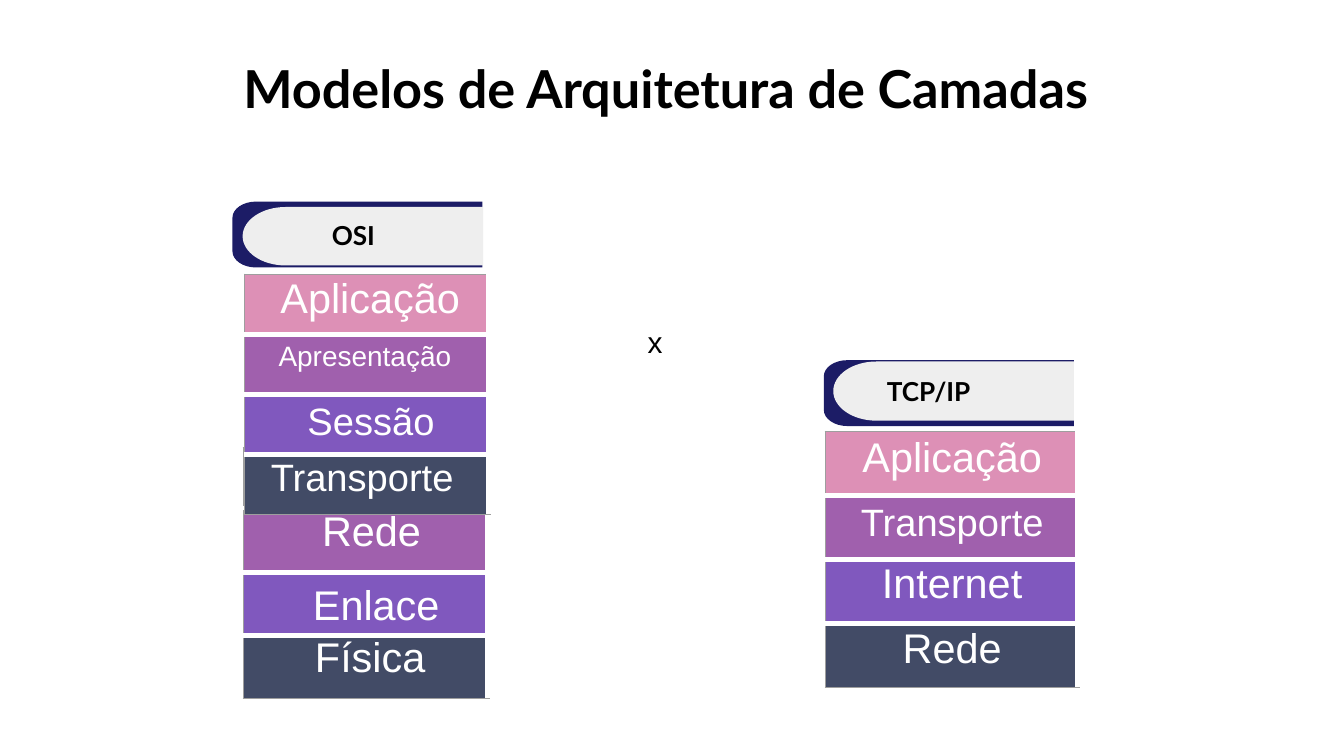
from typing import NamedTuple

from lxml.etree import SubElement
from pptx import Presentation
from pptx.dml.color import RGBColor
from pptx.enum.text import MSO_ANCHOR, MSO_AUTO_SIZE, PP_ALIGN
from pptx.oxml.ns import qn
from pptx.util import Inches, Pt

# The slide is a grid of 100 columns by 56.25 rows of equal square cells.
UNIT = Inches(10) / 100
LAYER_COLORS = ("DD90B6", "A060AD", "8058BE", "424B66")
GRAY, WHITE, NAVY, SILVER, BLACK = "9E9E9E", "FFFFFF", "1C1C66", "EEEEEE", "000000"


class Box(NamedTuple):
    column: float
    row: float
    columns: float
    rows: float


class Stack(NamedTuple):
    column: float
    row: float
    columns: float
    row_heights: tuple[float, ...]


class Label(NamedTuple):
    text: str
    box: Box
    size: float = 22.2
    spacing: float = 0.8


class Header(NamedTuple):
    text: str
    tab: Box
    pill: Box
    caption: Box


STACKS = (
    Stack(18.1, 33.3, 18.2, (4.5, 4.8, 4.7, 4.7)),
    Stack(61.4, 32.1, 18.8, (4.77,) * 4),
    Stack(18.2, 20.4, 18.15, (4.47,) * 4),
)

LABELS = (
    Label("Física", Box(18.1, 47.2, 18.9, 3.9)),
    Label("Enlace", Box(20.5, 43.3, 15, 3.9)),
    Label("Rede", Box(19, 37.8, 17.3, 3.9)),
    Label("Transporte", Box(19.1, 33.6, 15.7, 3.9), 20.4, 0.9),
    Label("Sessão", Box(20.5, 29.7, 14.2, 3.5), 20.4),
    Label("Apresentação", Box(18.9, 25.2, 16.5, 4.5), 15),
    Label("Aplicação", Box(18.1, 20.5, 18.9, 3.9)),
    Label("Rede", Box(62.2, 46.5, 17.3, 3.9)),
    Label("Internet", Box(62.2, 41.7, 17.3, 3.9)),
    Label("Transporte", Box(63, 37, 15.7, 3.9), 20.4, 0.9),
    Label("Aplicação", Box(61.4, 32.3, 18.9, 3.9)),
)

HEADERS = (
    Header("TCP/IP", Box(61.3, 26.8, 18.6, 4.9), Box(62, 26.9, 17.9, 4.4),
           Box(65, 27.4, 11.5, 3.4)),
    Header("OSI", Box(17.3, 15, 18.6, 4.9), Box(18.05, 15.4, 17.9, 4.35),
           Box(23.7, 15.8, 11.5, 3.4)),
)


def color(value: str) -> RGBColor:
    return RGBColor.from_string(value)


def lengths(box: Box) -> list[int]:
    return [round(value * UNIT) for value in box]


def format_text(text_frame, size: float, font_name: str, font_color: str,
                bold: bool = False) -> None:
    font = text_frame.paragraphs[0].runs[0].font
    font.size, font.name, font.bold = Pt(size), font_name, bold
    font.color.rgb = color(font_color)


def set_borders(cell, top: str, bottom: str) -> None:
    """Gray edges are hairlines and white edges are wide gaps."""
    properties = cell._tc.get_or_add_tcPr()
    edges = {"a:lnL": GRAY, "a:lnR": WHITE, "a:lnT": top, "a:lnB": bottom}
    for position, (tag, value) in enumerate(edges.items()):
        line = properties.makeelement(qn(tag), {"w": str(Pt(0.75 if value == GRAY else 3))})
        fill = SubElement(line, qn("a:solidFill"))
        SubElement(fill, qn("a:srgbClr"), val=value)
        properties.insert(position, line)


def add_stack(slide, stack: Stack) -> None:
    count = len(stack.row_heights)
    box = Box(stack.column, stack.row, stack.columns, sum(stack.row_heights))
    table = slide.shapes.add_table(count, 1, *lengths(box)).table
    table.first_row = table.horz_banding = False
    for index, height in enumerate(stack.row_heights):
        table.rows[index].height = round(height * UNIT)
        cell = table.cell(index, 0)
        cell.fill.solid()
        cell.fill.fore_color.rgb = color(LAYER_COLORS[index])
        set_borders(cell, GRAY if index == 0 else WHITE,
                    GRAY if index == count - 1 else WHITE)


def add_label(slide, label: Label) -> None:
    text_frame = slide.shapes.add_textbox(*lengths(label.box)).text_frame
    text_frame.word_wrap = True
    text_frame.text = label.text
    paragraph = text_frame.paragraphs[0]
    paragraph.alignment = PP_ALIGN.CENTER
    paragraph.line_spacing = label.spacing
    format_text(text_frame, label.size, "Arial", WHITE)


def merge_into_curve(segments: list) -> None:
    """Turn three line segments into one Bézier curve through their points."""
    first = segments[0]
    curve = first.makeelement(qn("a:cubicBezTo"))
    first.addprevious(curve)
    for segment in segments:
        curve.append(segment[0])
        segment.getparent().remove(segment)


def add_left_rounded(slide, box: Box, radius_x: float, radius_y: float, fill: str) -> None:
    left, top, width, height = lengths(box)
    right, bottom = left + width, top + height
    radius_x, radius_y = radius_x * UNIT, radius_y * UNIT
    control_x, control_y = 0.45 * radius_x, 0.45 * radius_y
    builder = slide.shapes.build_freeform(right, bottom)
    builder.add_line_segments([
        (right, top), (left + radius_x, top),
        (left + control_x, top), (left, top + control_y), (left, top + radius_y),
        (left, bottom - radius_y),
        (left, bottom - control_y), (left + control_x, bottom), (left + radius_x, bottom),
    ], close=True)
    shape = builder.convert_to_shape()
    segments = list(shape._element.iter(qn("a:lnTo")))
    merge_into_curve(segments[2:5])
    merge_into_curve(segments[6:9])
    shape.shadow.inherit = False
    shape.fill.solid()
    shape.fill.fore_color.rgb = color(fill)
    shape.line.fill.background()


def add_header(slide, header: Header) -> None:
    add_left_rounded(slide, header.tab, 1.75, 1.2, NAVY)
    add_left_rounded(slide, header.pill, 3.2, header.pill.rows / 2, SILVER)
    text_frame = slide.shapes.add_textbox(*lengths(header.caption)).text_frame
    text_frame.word_wrap = True
    text_frame.vertical_anchor = MSO_ANCHOR.MIDDLE
    text_frame.margin_top = text_frame.margin_bottom = Inches(0.1)
    text_frame.text = header.text
    format_text(text_frame, 14, "Lato", BLACK, bold=True)


def add_title(slide, text: str, box: Box) -> None:
    title = slide.shapes.title
    title.left, title.top, title.width, title.height = lengths(box)
    text_frame = title.text_frame
    text_frame.auto_size = MSO_AUTO_SIZE.NONE
    text_frame.vertical_anchor = MSO_ANCHOR.TOP
    text_frame.margin_top = text_frame.margin_bottom = Inches(0.1)
    text_frame.text = text
    text_frame.paragraphs[0].alignment = PP_ALIGN.CENTER
    format_text(text_frame, 28, "Lato", BLACK, bold=True)


def add_versus(slide, box: Box) -> None:
    text_frame = slide.shapes.add_textbox(*lengths(box)).text_frame
    text_frame.word_wrap = True
    text_frame.text = "x"
    format_text(text_frame, 16, "Arial", BLACK)


def main() -> None:
    presentation = Presentation()
    presentation.slide_width = round(100 * UNIT)
    presentation.slide_height = round(56.25 * UNIT)
    slide = presentation.slides.add_slide(presentation.slide_layouts[5])
    add_title(slide, "Modelos de Arquitetura de Camadas ", Box(5, 3.2, 90, 6.3))
    for stack in STACKS:
        add_stack(slide, stack)
    for label in LABELS:
        add_label(slide, label)
    for header in HEADERS:
        add_header(slide, header)
    add_versus(slide, Box(47.2, 23.6, 3.9, 5.3))
    presentation.save("out.pptx")


if __name__ == "__main__":
    main()
